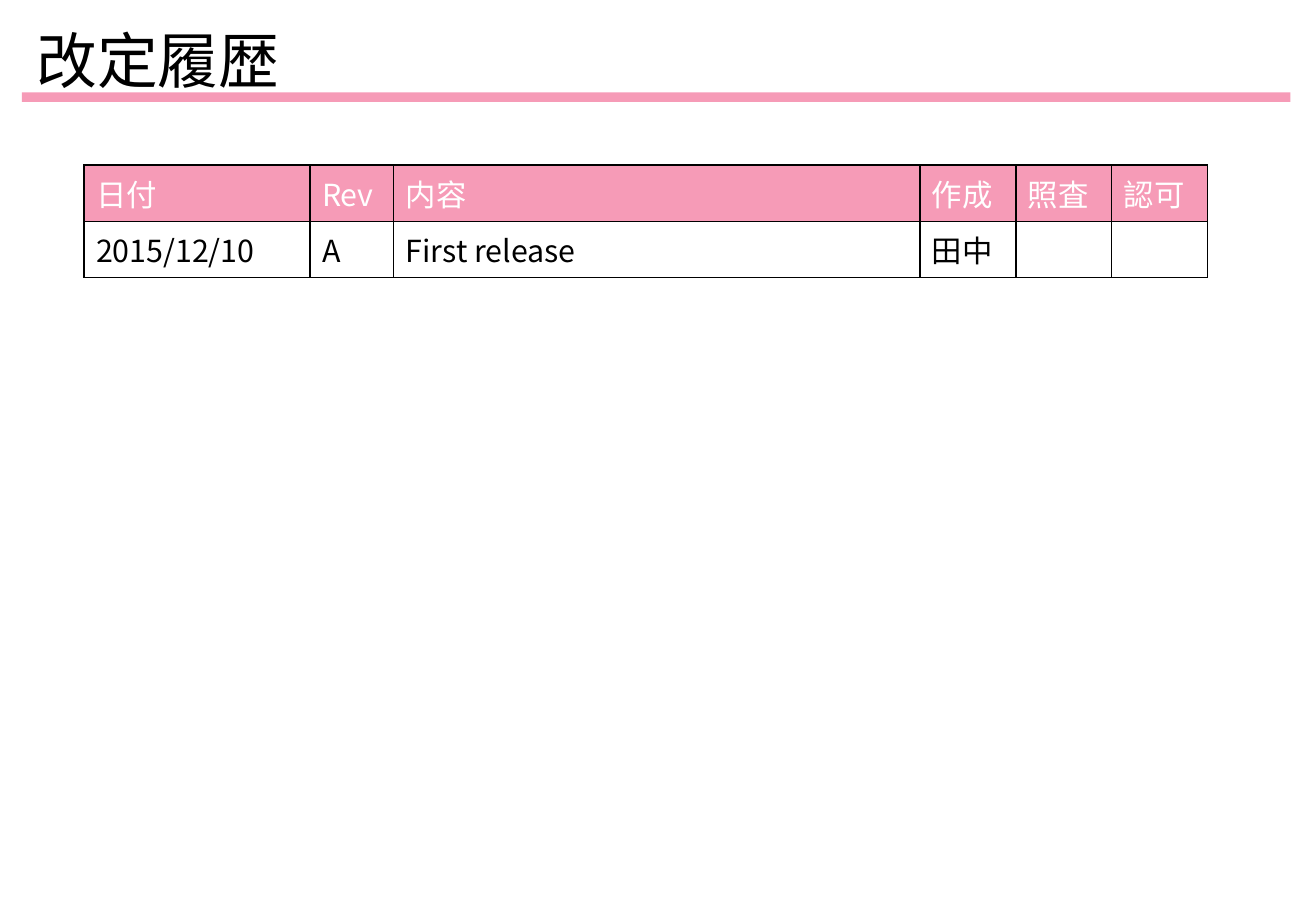
import pptx
import pptx.dml.color
import pptx.enum.shapes
import pptx.enum.text
import pptx.oxml.ns
import pptx.oxml.xmlchemy
import pptx.util
from lxml import etree
from pptx.util import Inches

COLORS = {"pink": "F69BB7", "black": "000000", "white": "FFFFFF"}
FONT = "Noto Sans CJK JP"
COLUMN_WIDTHS = [1.86, 0.69, 4.33, 0.79, 0.79, 0.79]
ROW_HEIGHT = 0.41
REVISIONS = [
    ["日付", "Rev", "内容", "作成", "照査", "認可"],
    ["2015/12/10", "A", "First release", "田中", "", ""],
]


def rgb(name):
    return pptx.dml.color.RGBColor.from_string(COLORS[name])


def sub(parent, tag, **attrs):
    return etree.SubElement(parent, pptx.oxml.ns.qn(tag), **attrs)


def write(tf, text, size, color):
    p = tf.paragraphs[0]
    p.alignment = pptx.enum.text.PP_ALIGN.LEFT
    r = p.add_run()
    r.text = text
    formats = {"size": pptx.util.Pt(size), "name": FONT, "bold": False}
    for key, value in formats.items():
        setattr(r.font, key, value)
    r.font.color.rgb = rgb(color)
    # East Asian typeface
    sub(r.font._element, "a:ea", typeface=FONT)


def add_title(s, text):
    sp = s.shapes.title
    box = {"left": 0.2, "top": 0.15, "width": 9.72, "height": 0.67}
    for key, value in box.items():
        setattr(sp, key, Inches(value))
    tf = sp.text_frame
    formats = {
        "vertical_anchor": pptx.enum.text.MSO_ANCHOR.MIDDLE,
        "auto_size": pptx.enum.text.MSO_AUTO_SIZE.NONE,
        "word_wrap": True,
    }
    for key, value in formats.items():
        setattr(tf, key, value)
    write(tf, text, 36, "black")


def add_bar(s, left, top, width, height):
    sp = s.shapes.add_shape(
        pptx.enum.shapes.MSO_SHAPE.RECTANGLE,
        Inches(left), Inches(top), Inches(width), Inches(height))
    sp.shadow.inherit = False
    sp.fill.solid()
    sp.fill.fore_color.rgb = rgb("pink")
    sp.line.fill.background()


def add_borders(cell):
    tc_pr = cell._tc.get_or_add_tcPr()
    for side in ("a:lnL", "a:lnR", "a:lnT", "a:lnB"):
        ln = sub(tc_pr, side, w=str(pptx.util.Pt(1)))
        sub(sub(ln, "a:solidFill"), "a:srgbClr", val=COLORS["black"])


def add_revision_table(s, left, top):
    table = s.shapes.add_table(
        len(REVISIONS), len(COLUMN_WIDTHS), Inches(left), Inches(top),
        Inches(sum(COLUMN_WIDTHS)), Inches(ROW_HEIGHT * len(REVISIONS))).table
    table.horz_banding = False
    for column, width in zip(table.columns, COLUMN_WIDTHS):
        column.width = Inches(width)
    for i, values in enumerate(REVISIONS):
        table.rows[i].height = Inches(ROW_HEIGHT)
        for j, text in enumerate(values):
            cell = table.cell(i, j)
            add_borders(cell)
            if i == 0:
                cell.fill.solid()
                cell.fill.fore_color.rgb = rgb("pink")
            else:
                cell.fill.background()
            if text:
                write(cell.text_frame, text, 18, "black" if i else "white")


def main():
    prs = pptx.Presentation()
    prs.slide_width, prs.slide_height = Inches(10.83), Inches(7.5)
    s = prs.slides.add_slide(prs.slide_layouts[5])

    # Heading
    add_bar(s, 0.18, 0.76, 10.44, 0.08)
    add_title(s, "改定履歴")

    # Revision history
    add_revision_table(s, 0.69, 1.36)

    prs.save("out.pptx")


if __name__ == "__main__":
    main()
